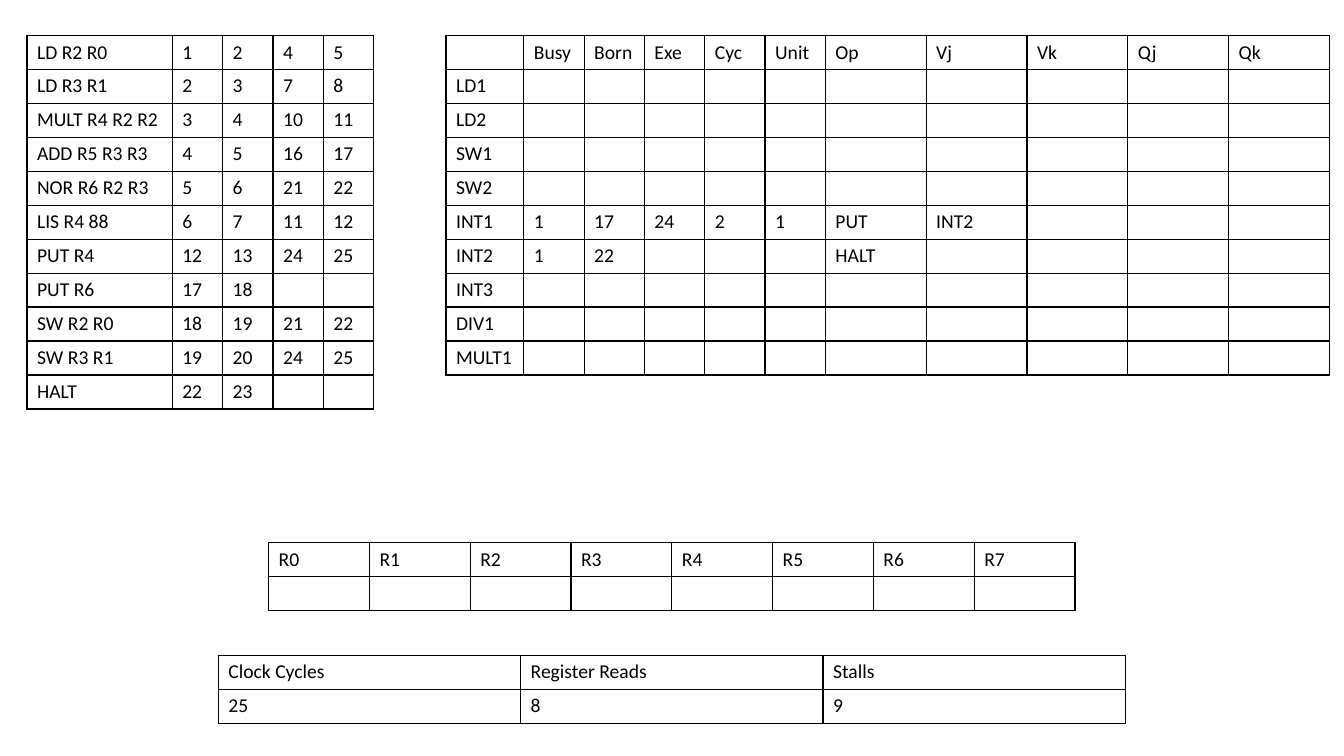
from lxml import etree
from pptx import Presentation
from pptx import util as u
from pptx.dml.color import RGBColor
from pptx.oxml import ns

COLORS = {"text": "000000", "border": "000000"}
FONT = {"name": "Calibri", "size": u.Pt(14), "bold": False}
BORDER_WIDTH = u.Pt(1)
ROW_HEIGHT = 0.85
NARROW, MEDIUM, WIDE, TOTAL = 1.27, 1.52, 2.54, 7.62


def add_borders(cell):
    properties = cell._tc.get_or_add_tcPr()
    for position, side in enumerate(("lnL", "lnR", "lnT", "lnB")):
        line = etree.Element(ns.qn(f"a:{side}"), w=str(BORDER_WIDTH))
        fill = etree.SubElement(line, ns.qn("a:solidFill"))
        etree.SubElement(fill, ns.qn("a:srgbClr"), val=COLORS["border"])
        properties.insert(position, line)


def write_cell(cell, value):
    """Write the value; an empty cell keeps the text size so its row stays low."""
    paragraph = cell.text_frame.paragraphs[0]
    if value:
        run = paragraph.add_run()
        run.text = value
        for name, setting in FONT.items():
            setattr(run.font, name, setting)
        run.font.color.rgb = RGBColor.from_string(COLORS["text"])
    else:
        size = str(int(FONT["size"].pt * 100))
        etree.SubElement(paragraph._p, ns.qn("a:endParaRPr"), sz=size)
    cell.fill.background()
    add_borders(cell)


def add_grid(slide, box, widths, rows):
    """Place a bordered table at box (left, top); short rows end in blank cells."""
    left, top = box
    frame = slide.shapes.add_table(
        len(rows), len(widths), u.Cm(left), u.Cm(top),
        u.Cm(sum(widths)), u.Cm(ROW_HEIGHT * len(rows)))
    table = frame.table
    table.first_row = table.horz_banding = False
    for column, width in zip(table.columns, widths):
        column.width = u.Cm(width)
    for row, values in zip(table.rows, rows):
        row.height = u.Cm(ROW_HEIGHT)
        padded = list(values) + [""] * (len(widths) - len(values))
        for cell, value in zip(row.cells, padded):
            write_cell(cell, value)


def add_instructions(slide, box):
    add_grid(slide, box, [3.66] + [NARROW] * 4, [
        ("LD R2 R0", "1", "2", "4", "5"),
        ("LD R3 R1", "2", "3", "7", "8"),
        ("MULT R4 R2 R2", "3", "4", "10", "11"),
        ("ADD R5 R3 R3", "4", "5", "16", "17"),
        ("NOR R6 R2 R3", "5", "6", "21", "22"),
        ("LIS R4 88", "6", "7", "11", "12"),
        ("PUT R4", "12", "13", "24", "25"),
        ("PUT R6", "17", "18"),
        ("SW R2 R0", "18", "19", "21", "22"),
        ("SW R3 R1", "19", "20", "24", "25"),
        ("HALT", "22", "23"),
    ])


def add_reservation_stations(slide, box):
    header = ("", "Busy", "Born", "Exe", "Cyc", "Unit", "Op", "Vj", "Vk", "Qj", "Qk")
    stations = ("LD1", "LD2", "SW1", "SW2", "INT1", "INT2", "INT3", "DIV1", "MULT1")
    busy = {
        "INT1": ("1", "17", "24", "2", "1", "PUT", "INT2"),
        "INT2": ("1", "22", "", "", "", "HALT"),
    }
    rows = [(station, *busy.get(station, ())) for station in stations]
    add_grid(slide, box, [1.96] + [MEDIUM] * 5 + [WIDE] * 5, [header, *rows])


def add_registers(slide, box):
    names = [f"R{number}" for number in range(8)]
    add_grid(slide, box, [WIDE] * len(names), [names, ()])


def add_totals(slide, box):
    add_grid(slide, box, [TOTAL] * 3, [
        ("Clock Cycles", "Register Reads", "Stalls"),
        ("25", "8", "9"),
    ])


def main():
    presentation = Presentation()
    presentation.slide_width = u.Cm(33.87)
    presentation.slide_height = u.Cm(19.05)
    slide = presentation.slides.add_slide(presentation.slide_layouts[6])
    add_instructions(slide, (0.68, 0.89))
    add_reservation_stations(slide, (11.24, 0.89))
    add_registers(slide, (6.77, 13.67))
    add_totals(slide, (5.5, 16.51))
    presentation.save("out.pptx")


if __name__ == "__main__":
    main()
